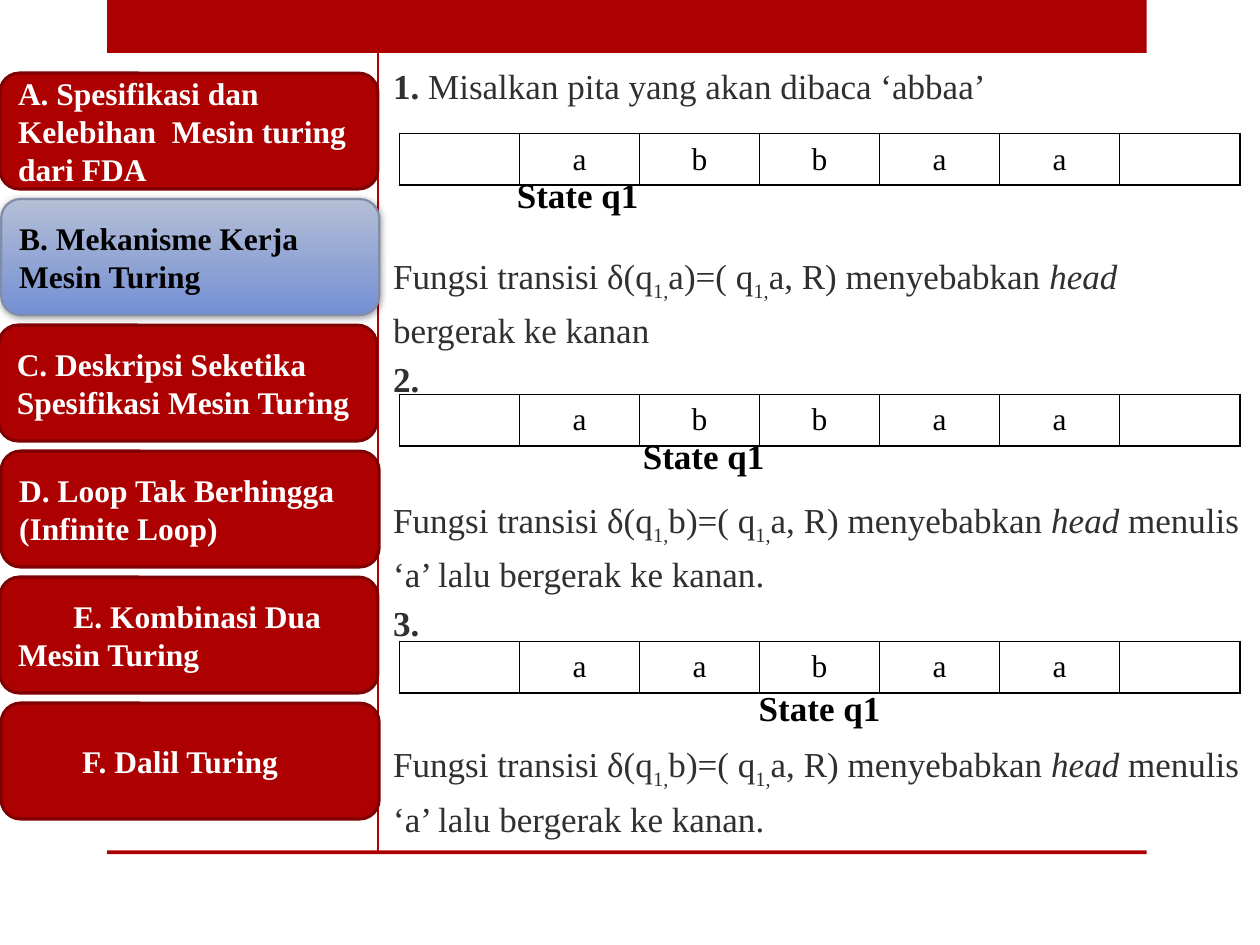
from dataclasses import dataclass
from pptx import Presentation as Deck
from pptx.dml.color import RGBColor as Color
from pptx.enum.shapes import MSO_CONNECTOR as Link, MSO_SHAPE as Form
from pptx.enum.text import MSO_ANCHOR as Anchor, MSO_AUTO_SIZE as Fit, PP_ALIGN as Align
from pptx.oxml.ns import qn
from pptx.util import Inches, Pt
from lxml.etree import SubElement as Sub


@dataclass(frozen=True)
class Theme:
    face: str = "Times New Roman"
    red: str = "AD0101"
    edge: str = "800101"
    rim: str = "808DA9"
    glow: tuple = ("B4BED5", "7590D4")
    ink: str = "303030"
    black: str = "000000"
    white: str = "FFFFFF"
    small: int = 18
    large: int = 20


def apply(item, form):
    for key, value in form.items():
        setattr(item, key, value)


def place(*nums):
    return [Inches(n) for n in nums]


class Page:
    def __init__(self, deck, theme):
        self.theme = theme
        self.slide = deck.slides.add_slide(deck.slide_layouts[1])
        self.shapes = self.slide.shapes
        title = self.shapes.title._element
        title.getparent().remove(title)

    def words(self, para, text, size, color, **form):
        run = para.add_run()
        run.text = text
        apply(run.font, {"name": self.theme.face, "size": Pt(size), **form})
        run.font.color.rgb = Color.from_string(color)
        return run

    def bar(self, *box):
        bar = self.shapes.add_shape(Form.RECTANGLE, *place(*box))
        bar.shadow.inherit = False
        bar.fill.solid()
        bar.fill.fore_color.rgb = Color.from_string(self.theme.red)
        bar.line.fill.background()

    def rule(self, *ends):
        rule = self.shapes.add_connector(Link.STRAIGHT, *place(*ends))
        rule.line.color.rgb = Color.from_string(self.theme.red)
        rule.line.width = Pt(1.25)
        Sub(rule._element.spPr, qn("a:effectLst"))

    def button(self, text, left, top, indent=0, active=False):
        look = self.theme
        card = self.shapes.add_shape(Form.ROUNDED_RECTANGLE, *place(left, top, 3, 0.92))
        card.shadow.inherit = False
        if active:
            card.fill.gradient()
            card.fill.gradient_angle = 270
            for stop, tint in zip(card.fill.gradient_stops, look.glow):
                stop.color.rgb = Color.from_string(tint)
            self.shade(card)
        else:
            card.fill.solid()
            card.fill.fore_color.rgb = Color.from_string(look.red)
        card.line.color.rgb = Color.from_string(look.rim if active else look.edge)
        card.line.width = Pt(1.25 if active else 1.75)
        apply(card.text_frame, {"word_wrap": True, "vertical_anchor": Anchor.MIDDLE})
        para = card.text_frame.paragraphs[0]
        para.alignment = Align.LEFT
        para._p.get_or_add_pPr().set("indent", str(Inches(indent)))
        self.words(para, text, look.small, look.black if active else look.white, bold=True)

    def shade(self, card):
        group = card._element.spPr.find(qn("a:effectLst"))
        cast = Sub(group, qn("a:outerShdw"), blurRad=str(Pt(4)), dist=str(Pt(1)),
                   dir=str(88 * 60000), rotWithShape="0")
        tint = Sub(cast, qn("a:srgbClr"), val=self.theme.black)
        Sub(tint, qn("a:alpha"), val="40000")

    def body(self, items, box):
        look = self.theme
        hold = self.slide.placeholders[1]
        apply(hold, dict(zip(("left", "top", "width", "height"), place(*box))))
        frame = hold.text_frame
        apply(frame, {"word_wrap": True, "auto_size": Fit.NONE, "vertical_anchor": Anchor.TOP})
        pitch = 27.9
        for num, (skip, parts) in enumerate(items):
            para = frame.add_paragraph() if num else frame.paragraphs[0]
            apply(para, {"line_spacing": Pt(pitch), "space_before": Pt(skip * pitch),
                         "alignment": Align.LEFT})
            props = para._p.get_or_add_pPr()
            props.set("marL", "0")
            props.set("indent", "0")
            Sub(props, qn("a:buNone"))
            for text, kind in parts:
                run = self.words(para, text, look.large, look.ink,
                                 bold=kind == "bold", italic=kind == "slant")
                if kind == "sub":
                    run.font._element.set("baseline", "-25000")

    def tape(self, marks, top):
        look = self.theme
        frame = self.shapes.add_table(1, len(marks), *place(3.17, top, 6.67, 0.41))
        table = frame.table
        apply(table, {"first_row": False, "horz_banding": False})
        for cell, mark in zip(table.iter_cells(), marks):
            apply(cell, {"vertical_anchor": Anchor.MIDDLE})
            props = cell._tc.get_or_add_tcPr()
            for side in ("lnL", "lnR", "lnT", "lnB"):
                line = Sub(props, qn("a:" + side), w=str(Pt(1)))
                Sub(Sub(line, qn("a:solidFill")), qn("a:srgbClr"), val=look.black)
            cell.fill.background()
            para = cell.text_frame.paragraphs[0]
            para.alignment = Align.CENTER
            if mark.strip():
                self.words(para, mark, look.small, look.black)
            else:
                para.font.size = Pt(look.small)

    def label(self, text, left, top):
        frame = self.shapes.add_textbox(*place(left, top, 1.17, 0.44)).text_frame
        apply(frame, {"word_wrap": False, "auto_size": Fit.SHAPE_TO_FIT_TEXT})
        para = frame.paragraphs[0]
        para.alignment = Align.CENTER
        self.words(para, text, self.theme.large, self.theme.black, bold=True)


def shift(mark, gap, tail):
    return [("Fungsi transisi δ(q", ""), ("1,", "sub"), (mark + ")=( q", ""), ("1,", "sub"),
            ("a, R) menyebabkan ", ""), ("head" + gap, "slant"), (tail, "")]


def main():
    deck = Deck()
    apply(deck, {"slide_width": Inches(10), "slide_height": Inches(7.5)})
    page = Page(deck, Theme())
    page.bar(0.85, 0, 8.25, 0.42)
    page.bar(0.85, 6.75, 8.25, 0.03)
    page.rule(3, 0.42, 3, 6.75)

    menu = [
        ("A. Spesifikasi dan Kelebihan  Mesin turing dari FDA", 0, 0),
        ("B. Mekanisme Kerja Mesin Turing", 0.01, 0),
        ("C. Deskripsi Seketika Spesifikasi Mesin Turing", -0.01, 0),
        ("D. Loop Tak Berhingga (Infinite Loop)", 0.01, 0),
        ("E. Kombinasi Dua Mesin Turing", 0, 0.44),
        ("F. Dalil Turing", 0.01, 0.5),
    ]
    for num, (text, left, indent) in enumerate(menu):
        page.button(text, left, 0.58 + num, indent, active=num == 1)

    swap = shift("b", " ", "menulis ‘a’ lalu bergerak ke kanan.")
    page.body([
        (0, [("1. ", "bold"), ("Misalkan pita yang akan dibaca ‘abbaa’", "")]),
        (3, shift("a", "  ", "bergerak ke kanan")),
        (0, [("2.", "bold")]),
        (2, swap),
        (0, [("3.", "bold")]),
        (2, swap),
    ], (3.02, 0.41, 6.98, 6.34))

    tapes = [(" abbaa ", 1.06, 4, 1.33), (" abbaa ", 3.13, 5, 3.4), (" aabaa ", 5.09, 5.92, 5.4)]
    for marks, top, left, low in tapes:
        page.tape(marks, top)
        page.label("State q1", left, low)
    deck.save("out.pptx")


if __name__ == "__main__":
    main()
